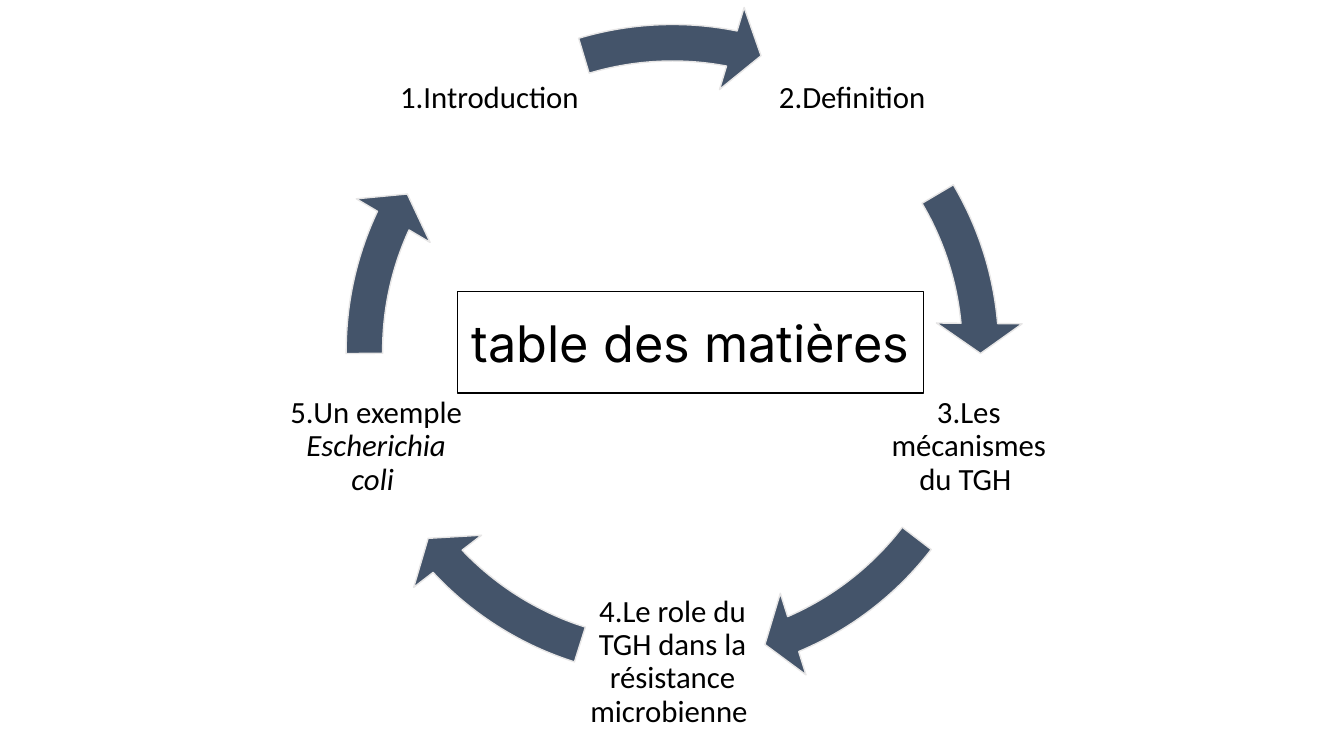
from math import cos, radians, sin

from pptx import Presentation
from pptx.dml.color import RGBColor
from pptx.enum.shapes import MSO_SHAPE
from pptx.enum.text import MSO_ANCHOR, PP_ALIGN
from pptx.util import Inches, Pt

BLACK = RGBColor(0x00, 0x00, 0x00)
WHITE = RGBColor(0xFF, 0xFF, 0xFF)
SLATE = RGBColor(0x44, 0x54, 0x6A)
PALE = RGBColor(0xE7, 0xE6, 0xE6)

CENTRE_X, CENTRE_Y = 6.67, 3.48
TOPIC_RADIUS, TOPIC_SIZE, RING_SIZE = 3.09, 1.86, 6.96
FIRST_ANGLE = -126
UNITS_PER_DEGREE = 0.6

# Each topic: its runs (text, italic), then the start and end angle of the arrow after it
TOPICS = [
    ([("1.Introduction ", False)], 253.29, 281.11),
    ([("2.Definition ", False)], 329.42, 354.91),
    ([("3.Les mécanismes du TGH ", False)], 37.54, 66.93),
    ([("4.Le role du TGH dans la résistance microbienne ", False)], 107.48, 136.87),
    ([("5.Un exemple ", False), ("Escherichia coli ", True)], 179.5, 204.99),
]


class CycleSlide:
    """Draws the parts of a cycle of topics on one slide."""

    def __init__(self, slide):
        self.shapes = slide.shapes

    def add_words(self, frame, runs, font, size):
        frame.word_wrap = True
        frame.vertical_anchor = MSO_ANCHOR.MIDDLE
        paragraph = frame.paragraphs[0]
        paragraph.alignment = PP_ALIGN.CENTER
        for text, italic in runs:
            run = paragraph.add_run()
            run.text = text
            run.font.name = font
            run.font.size = Pt(size)
            run.font.italic = italic
            run.font.color.rgb = BLACK
        return paragraph

    def outline(self, kind, left, top, width, height, fill, line):
        shape = self.shapes.add_shape(
            kind, Inches(left), Inches(top), Inches(width), Inches(height))
        shape.shadow.inherit = False
        shape.fill.solid()
        shape.fill.fore_color.rgb = fill
        shape.line.color.rgb = line
        shape.line.width = Pt(1)
        return shape

    def topic(self, runs, angle):
        left = CENTRE_X + TOPIC_RADIUS * cos(radians(angle)) - TOPIC_SIZE / 2
        top = CENTRE_Y + TOPIC_RADIUS * sin(radians(angle)) - TOPIC_SIZE / 2
        label = self.shapes.add_textbox(
            Inches(left), Inches(top), Inches(TOPIC_SIZE), Inches(TOPIC_SIZE))
        frame = label.text_frame
        frame.margin_left = frame.margin_right = Inches(0.03)
        frame.margin_top = frame.margin_bottom = Inches(0.03)
        self.add_words(frame, runs, "Calibri", 22).line_spacing = 0.9

    def arrow(self, start, end):
        arrow = self.outline(
            MSO_SHAPE.CIRCULAR_ARROW, CENTRE_X - RING_SIZE / 2,
            CENTRE_Y - RING_SIZE / 2, RING_SIZE, RING_SIZE, SLATE, PALE)
        values = (0.052, 3.36, end * UNITS_PER_DEGREE, start * UNITS_PER_DEGREE, 0.061)
        for index, value in enumerate(values):
            arrow.adjustments[index] = value

    def title(self, text):
        title = self.outline(MSO_SHAPE.RECTANGLE, 4.54, 2.89, 4.62, 1.01, WHITE, BLACK)
        self.add_words(title.text_frame, [(text, False)], "Inter", 36)


def main():
    presentation = Presentation()
    presentation.slide_width = Inches(13.33)
    presentation.slide_height = Inches(7.5)
    cycle = CycleSlide(presentation.slides.add_slide(presentation.slide_layouts[6]))
    for position, (runs, start, end) in enumerate(TOPICS):
        cycle.topic(runs, FIRST_ANGLE + position * 360 / len(TOPICS))
        cycle.arrow(start, end)
    cycle.title("table des matières")
    presentation.save("out.pptx")


if __name__ == "__main__":
    main()
